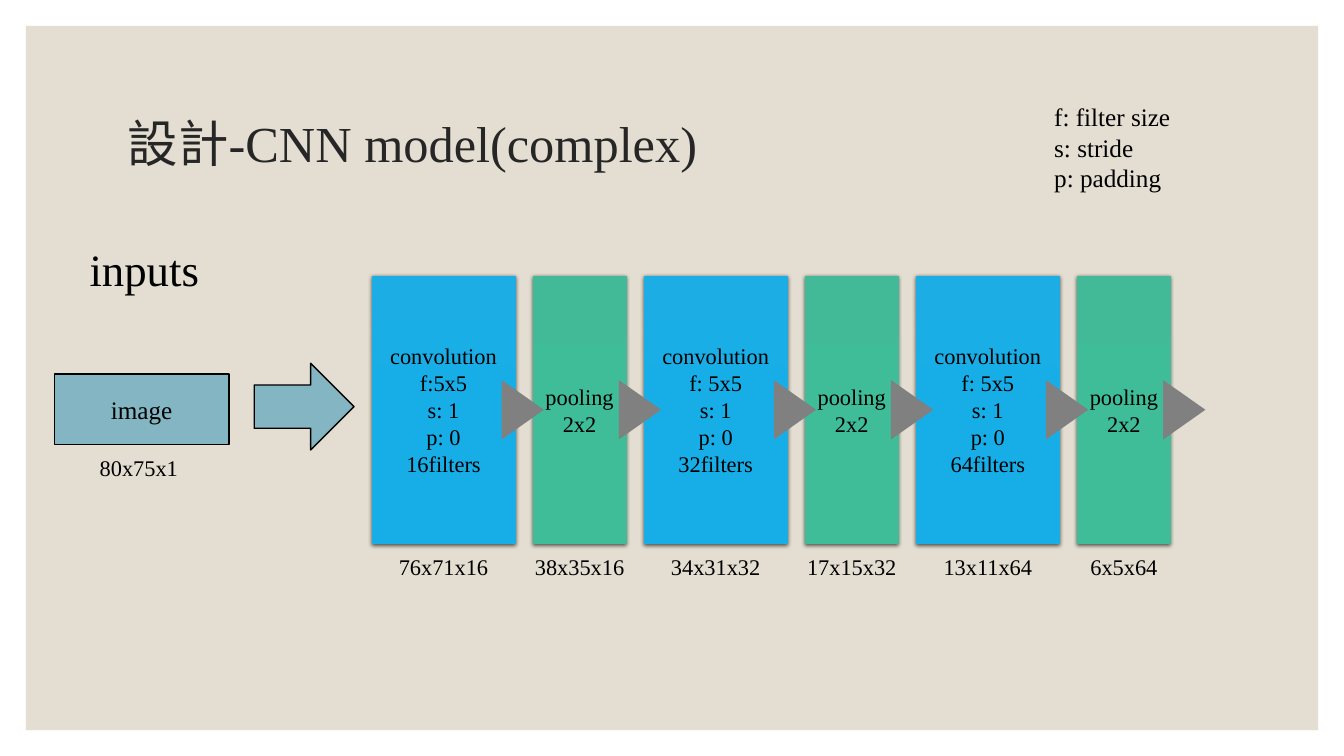
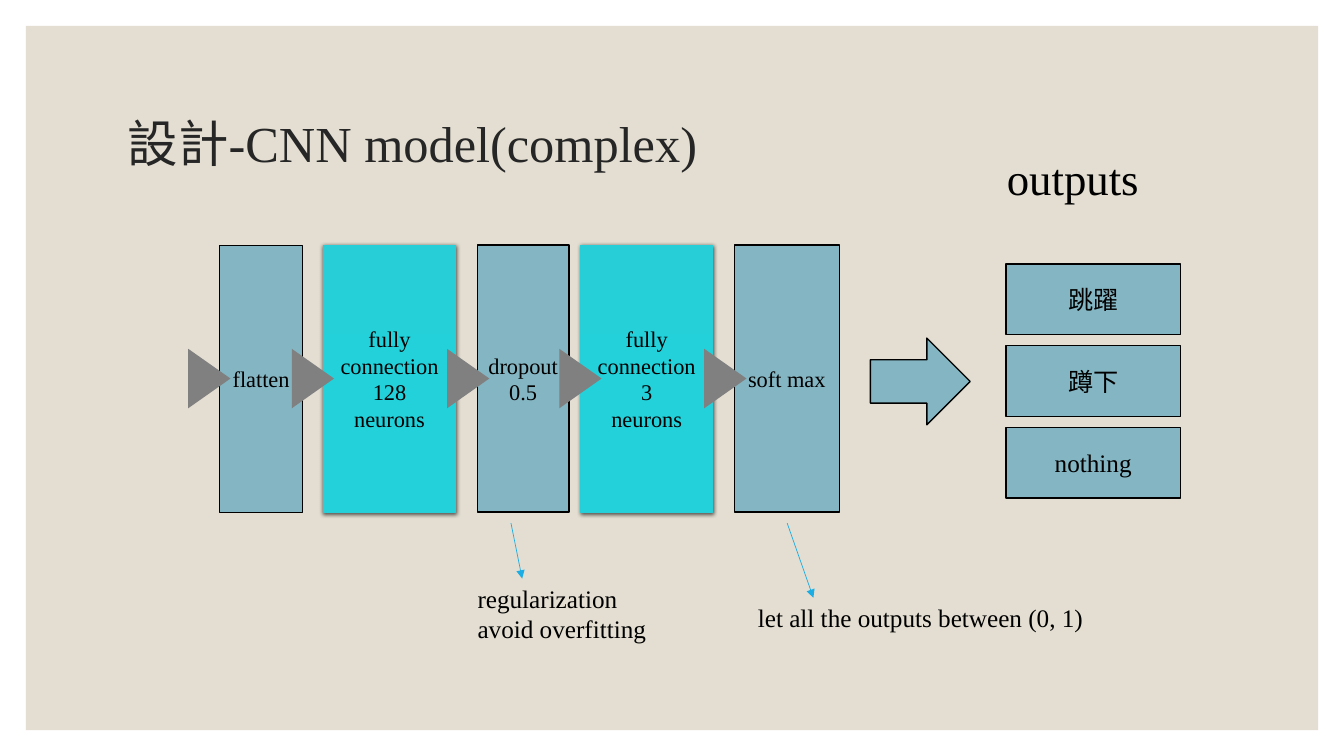
import pptx
import pptx.util
import pptx.dml.color
import pptx.enum.shapes
import pptx.enum.text
import pptx.oxml.ns
from lxml import etree

Pt = pptx.util.Pt
SHAPES = pptx.enum.shapes.MSO_SHAPE
ANCHOR = pptx.enum.text.MSO_ANCHOR
ALIGN = pptx.enum.text.PP_ALIGN
qn = pptx.oxml.ns.qn

COLORS = {
    "frame": "E3DED1", "title": "262626", "text": "000000", "outline": "000000",
    "plain": "83B5C2", "marker": "808080", "callout": "1CADE4", "shadow": "000000",
    "conv_top": "1CADE4", "conv_bottom": "17AEE8",
    "pool_top": "42BA97", "pool_bottom": "3FBC98",
    "full_top": "27CED7", "full_bottom": "22D1DA",
}
FONT = "Times New Roman"
SLIDE_WIDTH, SLIDE_HEIGHT, FRAME_MARGIN = 960, 540, 18.5
LAYER_HEIGHT = 190.8
CARD_WIDTH, CARD_HEIGHT = 124.6, 50.4
MARKER_LENGTH, MARKER_HEIGHT = 30.2, 42.5

# width, gap to the next layer, marker centre past the right edge, outline width
LAYER_KINDS = {
    "conv": (102.2, 13, 5.5, 0.5),
    "pool": (66.2, 13, 10, 0.5),
    "flatten": (59, 15.1, 7.5, 0.5),
    "full": (94.3, 15.5, 9, 0.5),
    "dropout": (65.5, 8.4, 8.2, 1),
    "softmax": (74.9, 0, 0, 1),
}


def rgb(name):
    """Return the named colour."""
    return pptx.dml.color.RGBColor.from_string(COLORS[name])


def write(shape, lines, size, color="text", align=None):
    """Write one paragraph per line and return the text frame."""
    frame = shape.text_frame
    frame.text = "\n".join(lines)
    for paragraph in frame.paragraphs:
        paragraph.font.name = FONT
        paragraph.font.size = Pt(size)
        paragraph.font.color.rgb = rgb(color)
        paragraph.alignment = align
    return frame


def add_text(slide, left, top, width, height, lines, size, color="text", align=None):
    """Add a wrapping text box and return its text frame."""
    box = slide.shapes.add_textbox(Pt(left), Pt(top), Pt(width), Pt(height))
    frame = write(box, lines, size, color, align)
    frame.word_wrap = True
    return frame


def add_block(slide, kind, left, top, width, height, fill="plain", line_width=None):
    """Add a flat shape, outlined when a line width is given."""
    shape = slide.shapes.add_shape(kind, Pt(left), Pt(top), Pt(width), Pt(height))
    shape.shadow.inherit = False
    shape.fill.solid()
    shape.fill.fore_color.rgb = rgb(fill)
    if line_width:
        shape.line.color.rgb = rgb("outline")
        shape.line.width = Pt(line_width)
    else:
        shape.line.fill.background()
    return shape


def add_label(shape, lines, size):
    """Centre text in a shape."""
    frame = write(shape, lines, size, align=ALIGN.CENTER)
    frame.vertical_anchor = ANCHOR.MIDDLE
    frame.margin_left = frame.margin_right = 0


def add_gloss(shape, kind):
    """Give a layer its gradient, matching outline and soft shadow."""
    shape.fill.gradient()
    shape.fill.gradient_angle = 270
    top, bottom = shape.fill.gradient_stops
    top.color.rgb, top.position = rgb(kind + "_top"), 0
    bottom.color.rgb, bottom.position = rgb(kind + "_bottom"), 0.5
    shape.line.color.rgb = rgb(kind + "_top")
    effects = shape._element.spPr.find(qn("a:effectLst"))
    shadow = etree.SubElement(effects, qn("a:outerShdw"), blurRad="38100",
                              dist="12700", dir="5400000", rotWithShape="0")
    color = etree.SubElement(shadow, qn("a:srgbClr"), val=COLORS["shadow"])
    etree.SubElement(color, qn("a:alpha"), val="63000")


def add_marker(slide, center_x, center_y):
    """Add a triangle pointing right, centred on a point."""
    marker = add_block(slide, SHAPES.FLOWCHART_EXTRACT, center_x - MARKER_HEIGHT / 2,
                       center_y - MARKER_LENGTH / 2, MARKER_HEIGHT, MARKER_LENGTH, "marker")
    marker.rotation = 90


def add_caption(slide, center_x, bottom, caption):
    """Centre a data size below a block."""
    add_text(slide, center_x - 40, bottom + 3.6, 80, 26.6, [caption], 16, align=ALIGN.CENTER)


def add_layers(slide, left, top, layers):
    """Lay out network layers from left to right, with markers in front."""
    middle = top + LAYER_HEIGHT / 2
    markers = []
    for kind, lines, caption in layers:
        width, gap, offset, line_width = LAYER_KINDS[kind]
        layer = add_block(slide, SHAPES.RECTANGLE, left, top, width, LAYER_HEIGHT,
                          line_width=line_width)
        if kind + "_top" in COLORS:
            add_gloss(layer, kind)
        add_label(layer, lines, 16)
        if caption:
            add_caption(slide, left + width / 2, top + LAYER_HEIGHT, caption)
        if offset:
            markers.append(left + width + offset)
        left += width + gap
    for center_x in markers:
        add_marker(slide, center_x, middle)


def add_card(slide, left, top, text):
    """Add an input or output card."""
    card = add_block(slide, SHAPES.RECTANGLE, left, top, CARD_WIDTH, CARD_HEIGHT, line_width=1)
    add_label(card, [text], 18)


def add_flow_arrow(slide, left, top):
    """Add the large arrow between the cards and the layers."""
    add_block(slide, SHAPES.RIGHT_ARROW, left, top, 71.3, 61.9, line_width=1)


def add_heading(slide, left, top, text):
    """Add the heading of an input or output region."""
    add_text(slide, left, top, CARD_WIDTH, 46, [text], 32)


def add_callout(slide, start, end, left, width, lines):
    """Draw a thin arrow down to an explanation."""
    line = slide.shapes.add_connector(pptx.enum.shapes.MSO_CONNECTOR.STRAIGHT,
                                      *(Pt(value) for value in start + end))
    line.line.color.rgb = rgb("callout")
    line.line.width = Pt(0.5)
    properties = line._element.spPr
    etree.SubElement(properties.find(qn("a:ln")), qn("a:tailEnd"), type="triangle")
    etree.SubElement(properties, qn("a:effectLst"))
    add_text(slide, left, end[1], width, 7.2 + 21.8 * len(lines), lines, 18)


def add_base_slide(presentation, title):
    """Add a blank slide with the shared frame and title."""
    slide = presentation.slides.add_slide(presentation.slide_layouts[6])
    add_block(slide, SHAPES.RECTANGLE, FRAME_MARGIN, FRAME_MARGIN,
              SLIDE_WIDTH - 2 * FRAME_MARGIN, SLIDE_HEIGHT - 2 * FRAME_MARGIN, "frame")
    frame = add_text(slide, 84.2, 50.4, 792, 108, [title], 36, "title")
    frame.vertical_anchor = ANCHOR.MIDDLE
    frame.paragraphs[0].line_spacing = 0.9
    return slide


def convolution(size, filters):
    """Return the lines of a convolution layer."""
    return ["convolution", size, "s: 1", "p: 0", f"{filters}filters"]


def add_feature_slide(presentation, title):
    """Build the slide from the input image to the last pooling layer."""
    slide = add_base_slide(presentation, title)
    add_text(slide, 745.9, 69.1, 110, 72.7,
             ["f: filter size", "s: stride", "p: padding"], 18)
    add_heading(slide, 56.9, 169.2, "inputs")
    card_left, card_top = 38.9, 267.1
    add_card(slide, card_left, card_top, "image")
    add_caption(slide, card_left + CARD_WIDTH / 2 - 2, card_top + CARD_HEIGHT, "80x75x1")
    add_flow_arrow(slide, 181.6, 259.5)
    pooling = ["pooling", "2x2"]
    add_layers(slide, 265.7, 197.3, [
        ("conv", convolution("f:5x5", 16), "76x71x16"),
        ("pool", pooling, "38x35x16"),
        ("conv", convolution("f: 5x5", 32), "34x31x32"),
        ("pool", pooling, "17x15x32"),
        ("conv", convolution("f: 5x5", 64), "13x11x64"),
        ("pool", pooling, "6x5x64"),
    ])


def add_classifier_slide(presentation, title):
    """Build the slide from the flatten layer to the outputs."""
    slide = add_base_slide(presentation, title)
    left, top = 157, 175
    add_layers(slide, left, top, [
        ("flatten", ["flatten"], None),
        ("full", ["fully", "connection", "128", "neurons"], None),
        ("dropout", ["dropout", "0.5"], None),
        ("full", ["fully", "connection", "3", "neurons"], None),
        ("softmax", ["soft max"], None),
    ])
    add_marker(slide, left - 7.5, top + LAYER_HEIGHT / 2)
    add_flow_arrow(slide, 621.7, 241.5)
    add_heading(slide, 712.1, 104.4, "outputs")
    for index, name in enumerate(["跳躍", "蹲下", "nothing"]):
        add_card(slide, 718.6, 188.7 + index * 58.3, name)
    add_callout(slide, (365, 373.7), (373, 413.3), 334, 140,
                ["regularization", "avoid overfitting"])
    add_callout(slide, (562.3, 373.7), (581, 427), 534.3, 252,
                ["let all the outputs between (0, 1)"])


def main():
    """Build and save the presentation."""
    presentation = pptx.Presentation()
    presentation.slide_width = Pt(SLIDE_WIDTH)
    presentation.slide_height = Pt(SLIDE_HEIGHT)
    title = "設計-CNN model(complex)"
    add_feature_slide(presentation, title)
    add_classifier_slide(presentation, title)
    presentation.save("out.pptx")


main()
